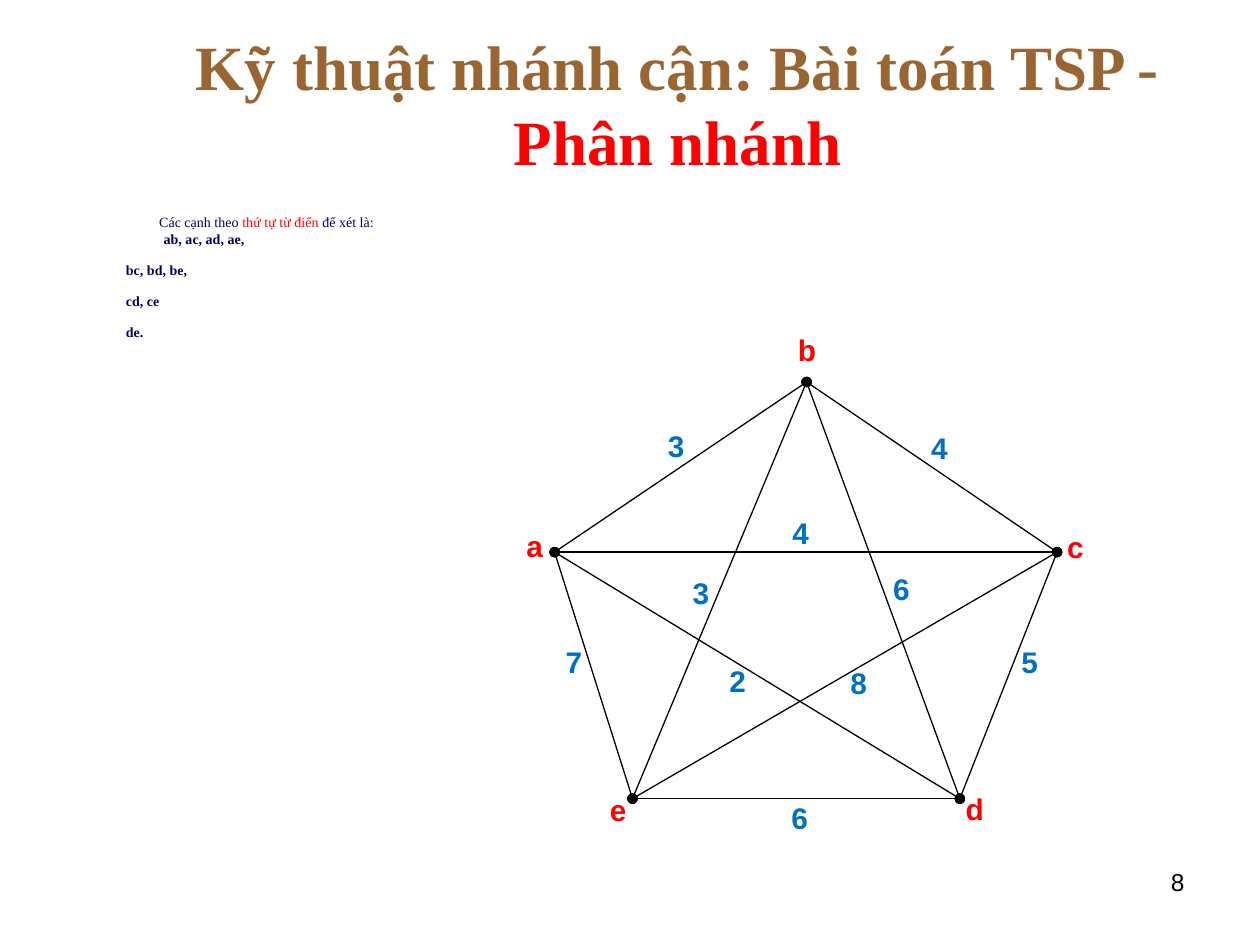
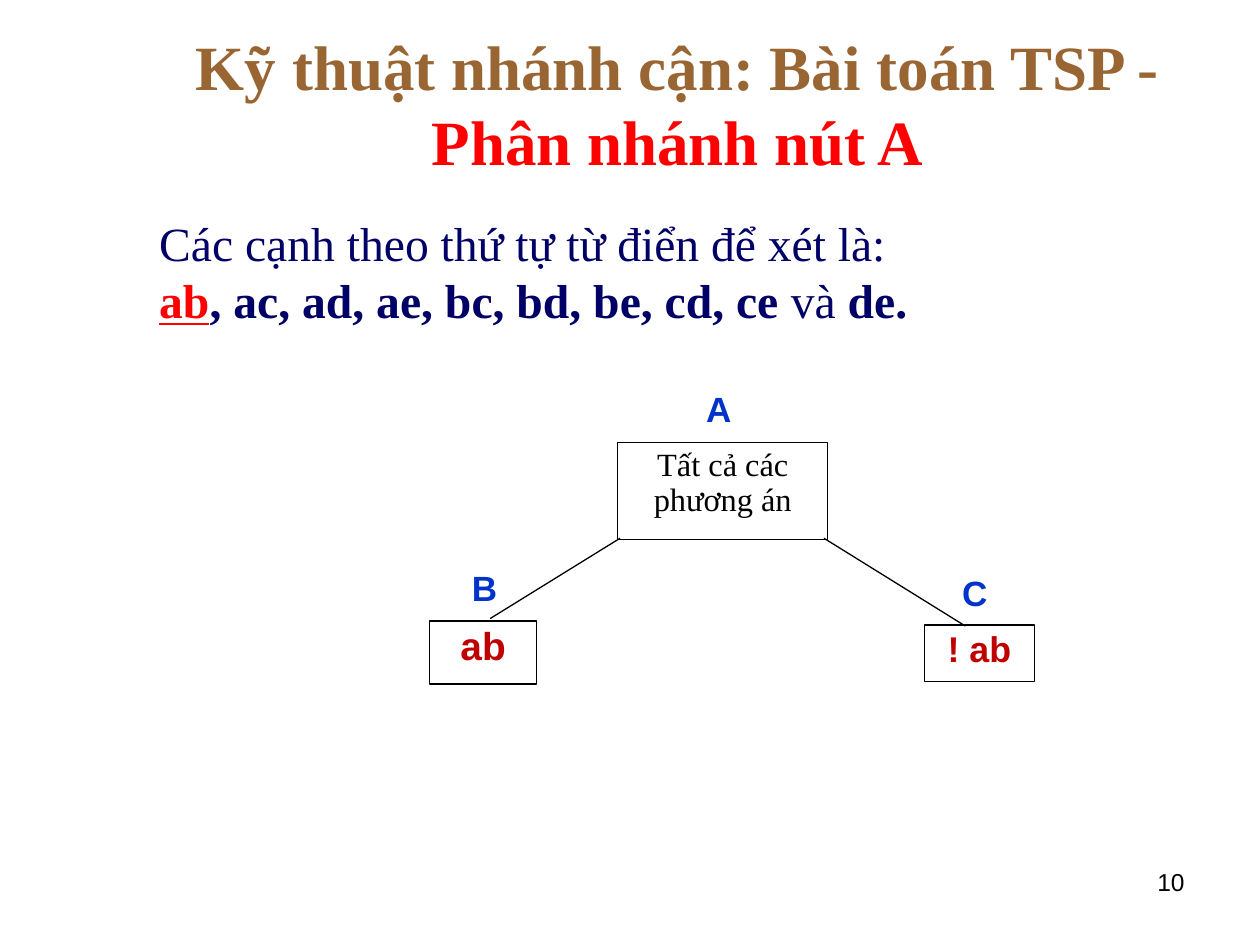
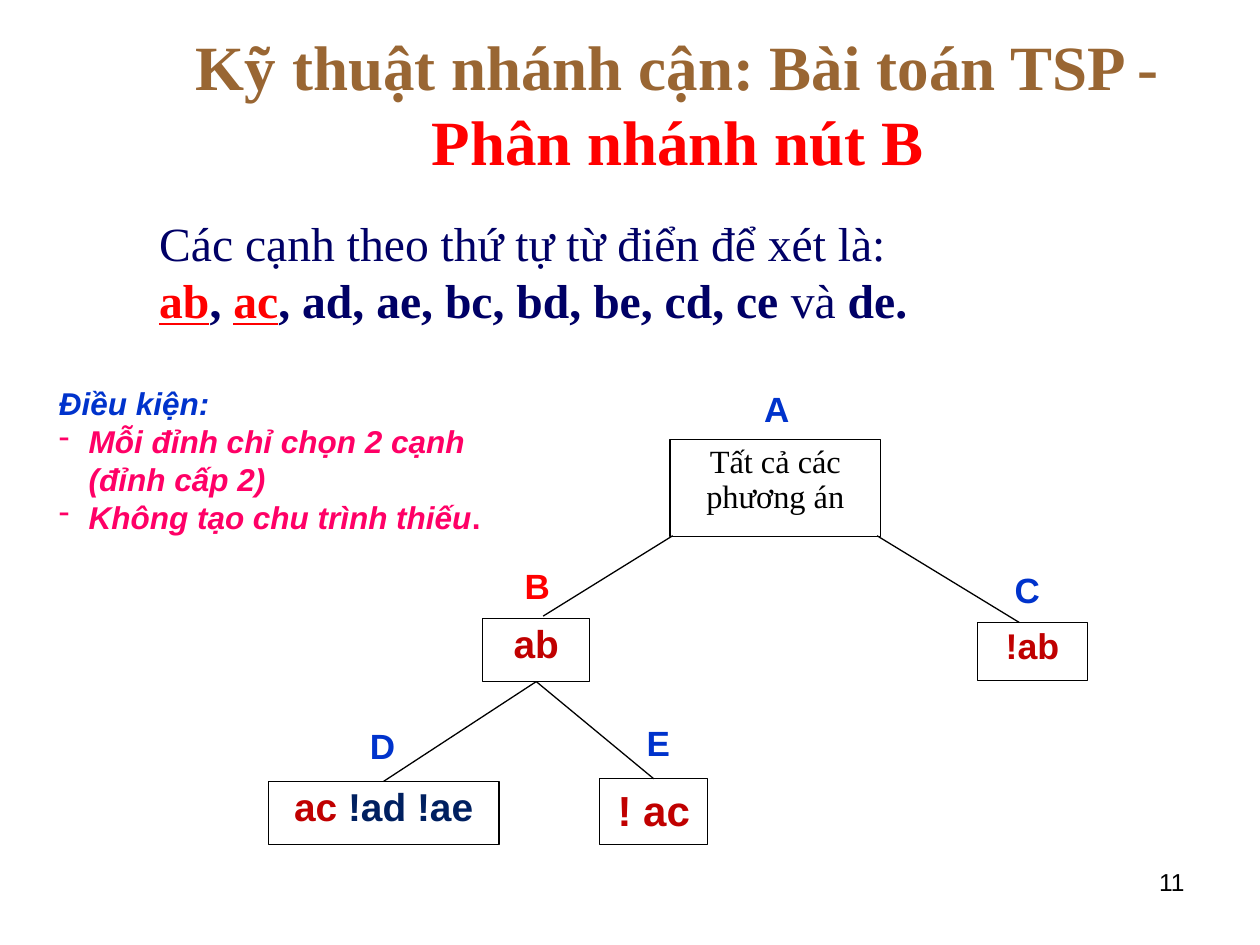
from lxml.etree import SubElement
from pptx import Presentation
from pptx.dml.color import RGBColor
from pptx.enum.shapes import MSO_CONNECTOR, MSO_SHAPE
from pptx.enum.text import MSO_ANCHOR, MSO_AUTO_SIZE, PP_ALIGN
from pptx.oxml.ns import qn
from pptx.util import Cm, Pt

COLOURS = {
    "brown": "996633", "red": "FF0000", "navy": "000066", "black": "000000",
    "weight": "0070C0", "blue": "0033CC", "crimson": "C00000",
    "dark": "002060", "pink": "FF0066",
}
SERIF, SANS = "Times New Roman", "Arial"
TITLE = "Kỹ thuật nhánh cận: Bài toán TSP - "
TITLE_AREA = (3.18, 0.76, 20.96, 2.62)
BODY_AREA = (2.01, 4.19, 22.23, 2.57)
NUMBER_AREA = (18.21, 17.35, 5.92, 1.32)
CONDITION_AREA = (0.94, 7.62, 10.21, 3.3)

RED = {"colour": "red"}
BOLD = {"bold": True}
PICKED = {"colour": "red", "bold": True, "underline": True}

EDGE_INTRO = "Các cạnh theo thứ tự từ điển để xét là:"
EDGE_TAIL = [("và", {}), (" de.", BOLD)]
EDGES_BY_VERTEX = [
    ([("Các cạnh theo ", {}), ("thứ tự từ điển ", RED), ("để xét là:", {})], 0.95, 0),
    ([("ab, ac, ad, ae,", BOLD)], 1.04, 0),
    ([("bc, bd, be,", BOLD)], 0.28, 8),
    ([("cd, ce", BOLD)], 0.28, 8),
    ([("de.", BOLD)], 0.28, 8),
]
EDGES_NODE_A = [
    ([(EDGE_INTRO, {})], 0.95, 0),
    ([("ab", PICKED), (", ac, ad, ae, bc, bd, be, cd, ce ", BOLD)] + EDGE_TAIL, 0.95, 0),
]
EDGES_NODE_B = [
    ([(EDGE_INTRO, {})], 0.95, 0),
    ([("ab", PICKED), (", ", BOLD), ("ac", PICKED),
      (", ad, ae, bc, bd, be, cd, ce ", BOLD)] + EDGE_TAIL, 0.95, 0),
]

VERTICES = {
    "a": (11.18, 11.13, 10.59, 10.72),
    "b": (16.26, 7.7, 16.08, 6.78),
    "c": (21.31, 11.13, 21.49, 10.74),
    "d": (19.35, 16.1, 19.46, 16.03),
    "e": (12.75, 16.1, 12.27, 16.05),
}
WEIGHTS = {
    "ab": (3, 13.44, 8.71), "bc": (4, 18.75, 8.74), "be": (3, 13.94, 11.66),
    "bd": (6, 17.98, 11.58), "ac": (4, 15.95, 10.46), "ae": (7, 11.38, 13.06),
    "ad": (2, 14.68, 13.44), "ce": (8, 17.12, 13.49), "de": (6, 15.93, 16.21),
    "cd": (5, 20.57, 13.06),
}

ROOT_STYLE = {"size": 18.5, "font": SERIF, "line": 0.9}
LEAF_STYLE = {"size": 22.2, "colour": "crimson", "bold": True, "line": 0.9}
SMALL_LEAF = LEAF_STYLE | {"size": 20.4}
LARGE_LEAF = LEAF_STYLE | {"size": 24, "line": 1}
ROOT_TEXT = [("Tất cả các phương án", {})]

TREE_A = {
    "A": ("blue", (14.02, 7.82), (12.45, 8.92, 4.24, 1.96), ROOT_TEXT, ROOT_STYLE),
    "B": ("blue", (9.3, 11.43), (8.66, 12.52, 2.16, 1.27), [("ab", {})], LEAF_STYLE),
    "C": ("blue", (19.18, 11.53), (18.64, 12.6, 2.21, 1.14), [("! ab", {})], SMALL_LEAF),
}
TREE_B = {
    "A": ("blue", (15.19, 7.82), (13.51, 8.86, 4.24, 1.96), ROOT_TEXT, ROOT_STYLE),
    "B": ("red", (10.36, 11.38), (9.73, 12.47, 2.16, 1.27), [("ab", {})], LEAF_STYLE),
    "C": ("blue", (20.24, 11.46), (19.71, 12.55, 2.21, 1.17), [("!ab", {})], SMALL_LEAF),
    "D": ("blue", (7.24, 14.61), (5.41, 15.75, 4.65, 1.27),
          [("ac ", {}), ("!ad !ae", {"colour": "dark"})], LEAF_STYLE),
    "E": ("blue", (12.8, 14.55), (12.09, 15.7, 2.18, 1.32), [("! ac", {})], LARGE_LEAF),
}
CORNER_LINKS_A = [(12.5, 10.85, 9.88, 12.47), (16.61, 10.85, 19.46, 12.62)]
CORNER_LINKS_B = [(13.56, 10.8, 10.95, 12.42), (17.68, 10.8, 20.55, 12.55)]
CHILD_LINKS_B = ["BD", "BE"]

CONDITIONS = [
    [("Mỗi đỉnh chỉ chọn 2 cạnh (đỉnh cấp 2)", {})],
    [("Không tạo chu trình thiếu", {}), (".", {"italic": False})],
]


def rgb(name):
    return RGBColor.from_string(COLOURS[name])


def style_font(font, size=None, font_name=None, colour=None, **flags):
    if size:
        font.size = Pt(size)
    if font_name:
        font.name = font_name
    if colour:
        font.color.rgb = rgb(colour)
    for flag, value in flags.items():
        setattr(font, flag, value)


def write(para, spans, size, font=SANS, colour="black", align=PP_ALIGN.LEFT,
          line=1, before=0, **flags):
    para.alignment = align
    para.line_spacing = line
    para.space_before = Pt(before)
    style_font(para.font, size, font, colour, **flags)
    for text, changes in spans:
        span = para.add_run()
        span.text = text
        style_font(span.font, **changes)


def indent(para, left, first=0):
    properties = para._p.get_or_add_pPr()
    properties.set("marL", str(Cm(left)))
    properties.set("indent", str(Cm(first)))
    return properties


def add_box(page, area, inset=True):
    box = page.shapes.add_textbox(*map(Cm, area))
    frame = box.text_frame
    frame.word_wrap = True
    if not inset:
        frame.margin_left = frame.margin_right = 0
        frame.margin_top = frame.margin_bottom = 0
    return frame


def add_label(page, text, place, size, **style):
    frame = add_box(page, place + size, inset=False)
    write(frame.paragraphs[0], [(text, {})], align=PP_ALIGN.CENTER, bold=True, **style)


def add_line(page, ends, dots=False):
    line = page.shapes.add_connector(MSO_CONNECTOR.STRAIGHT, *map(Cm, ends))
    line.line.color.rgb = rgb("black")
    line.line.width = Pt(0.75)
    if dots:
        stroke = line.line._get_or_add_ln()
        for tag in ("a:headEnd", "a:tailEnd"):
            SubElement(stroke, qn(tag), type="oval")
    SubElement(line._element.spPr, qn("a:effectLst"))
    return line


def add_page(deck, subtitle, number, edges, edge_size):
    page = deck.slides.add_slide(deck.slide_layouts[5])
    title = page.shapes.title
    title.left, title.top, title.width, title.height = map(Cm, TITLE_AREA)
    frame = title.text_frame
    frame.auto_size = MSO_AUTO_SIZE.NONE
    frame.vertical_anchor = MSO_ANCHOR.MIDDLE
    write(frame.paragraphs[0], [(TITLE, {}), (subtitle, RED)], 36, SERIF, "brown",
          PP_ALIGN.CENTER, bold=True)

    body = add_box(page, BODY_AREA)
    for index, (spans, left, before) in enumerate(edges):
        para = body.add_paragraph() if index else body.paragraphs[0]
        indent(para, left)
        write(para, spans, edge_size, SERIF, "navy", before=before)

    write(add_box(page, NUMBER_AREA).paragraphs[0], [(str(number), {})], 14,
          align=PP_ALIGN.RIGHT)
    return page


def draw_graph(page):
    for edge, (weight, left, top) in WEIGHTS.items():
        start, end = (VERTICES[name][:2] for name in edge)
        add_line(page, start + end, dots=True)
        add_label(page, str(weight), (left, top), (0.38, 0.76),
                  size_pt=17, colour="weight", line=0.9)
    for name, (_, _, left, top) in VERTICES.items():
        add_label(page, name, (left, top), (0.38, 0.76),
                  size_pt=17, colour="red", line=0.9)


def add_label(page, text, place, extent, size_pt, **style):
    frame = add_box(page, place + extent, inset=False)
    write(frame.paragraphs[0], [(text, {})], size_pt, align=PP_ALIGN.CENTER,
          bold=True, **style)


def draw_tree(page, nodes, corner_links, child_links=()):
    boxes = {}
    for name, (colour, place, area, spans, style) in nodes.items():
        add_label(page, name, place, (0.94, 1.04), 20, colour=colour)
        box = page.shapes.add_shape(MSO_SHAPE.RECTANGLE, *map(Cm, area))
        box.shadow.inherit = False
        box.fill.background()
        box.line.color.rgb = rgb("black")
        box.line.width = Pt(0.75)
        box.text_frame.word_wrap = True
        box.text_frame.vertical_anchor = MSO_ANCHOR.TOP
        write(box.text_frame.paragraphs[0], spans, align=PP_ALIGN.CENTER, **style)
        boxes[name] = box
    for ends in corner_links:
        add_line(page, ends)
    for parent, child in child_links:
        line = add_line(page, (0, 0, 1, 1))
        line.begin_connect(boxes[parent], 2)
        line.end_connect(boxes[child], 0)


def add_conditions(page):
    frame = add_box(page, CONDITION_AREA)
    write(frame.paragraphs[0], [("Ðiều kiện:", {})], 18, colour="blue",
          bold=True, italic=True)
    for spans in CONDITIONS:
        para = frame.add_paragraph()
        properties = indent(para, 0.6, -0.6)
        bullet_colour = SubElement(properties, qn("a:buClr"))
        SubElement(bullet_colour, qn("a:srgbClr"), val=COLOURS["pink"])
        SubElement(properties, qn("a:buChar"), char="-")
        write(para, spans, 18, colour="pink", bold=True, italic=True)


def main():
    deck = Presentation()
    deck.slide_width, deck.slide_height = Cm(25.4), Cm(19.05)

    draw_graph(add_page(deck, "Phân nhánh", 8, EDGES_BY_VERTEX, 8))

    page = add_page(deck, "Phân nhánh nút A", 10, EDGES_NODE_A, 27.2)
    draw_tree(page, TREE_A, CORNER_LINKS_A)

    page = add_page(deck, "Phân nhánh nút B", 11, EDGES_NODE_B, 27.2)
    draw_tree(page, TREE_B, CORNER_LINKS_B, CHILD_LINKS_B)
    add_conditions(page)

    deck.save("out.pptx")


if __name__ == "__main__":
    main()
